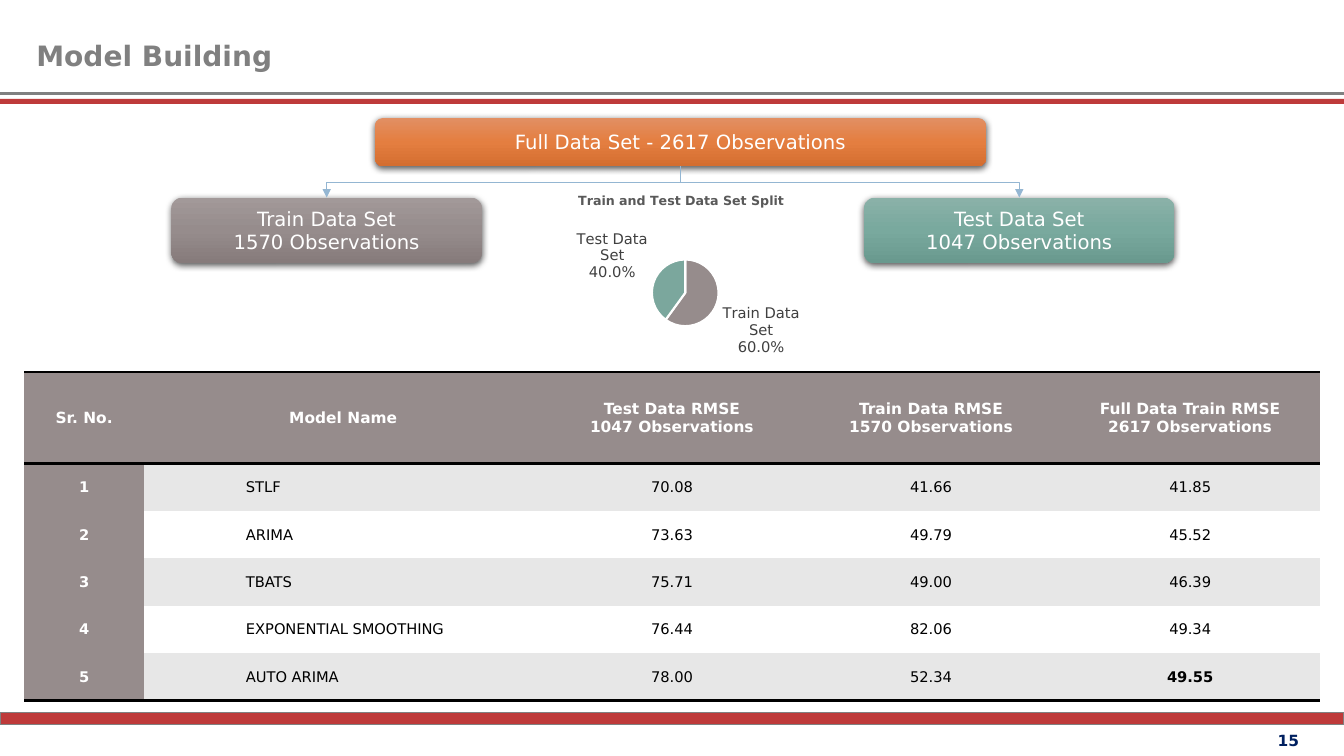
from lxml import etree
from pptx import Presentation
from pptx.chart.data import CategoryChartData
from pptx.dml.color import RGBColor
from pptx.enum.chart import XL_CHART_TYPE, XL_LABEL_POSITION
from pptx.enum.shapes import MSO_CONNECTOR, MSO_SHAPE
from pptx.enum.text import MSO_ANCHOR, PP_ALIGN
from pptx.oxml import parse_xml
from pptx.oxml.ns import qn
from pptx.util import Inches, Pt

LEFT, CENTER = PP_ALIGN.LEFT, PP_ALIGN.CENTER
TOP, MIDDLE = MSO_ANCHOR.TOP, MSO_ANCHOR.MIDDLE
RECT, ROUND = MSO_SHAPE.RECTANGLE, MSO_SHAPE.ROUNDED_RECTANGLE
STRAIGHT, ELBOW = MSO_CONNECTOR.STRAIGHT, MSO_CONNECTOR.ELBOW
PIE, OUTSIDE = XL_CHART_TYPE.PIE, XL_LABEL_POSITION.OUTSIDE_END

FONT = "DejaVu Sans"
GREY, RED, TAUPE, BAND, WHITE, BLACK = "808080", "B21515", "968C8C", "E7E7E7", "FFFFFF", "000000"
NS = 'xmlns:a="http://schemas.openxmlformats.org/drawingml/2006/main"'
NO_STYLE = "{2D5ABB26-0587-4C30-8999-92F81FD0307C}"

BOXES = [
    (("Full Data Set - 2617 Observations",), (3.72, 1.17, 6.06, 0.48), ("E28F63", "E47E40", "D46E30")),
    (("Train Data Set", "1570 Observations"), (1.7, 1.96, 3.08, 0.65), ("A29999", "968C8C", "867B7B")),
    (("Test Data Set", "1047 Observations"), (8.57, 1.96, 3.08, 0.65), ("8AB1A8", "79A99E", "69998E")),
]
SPLIT = "Train and Test Data Set Split"
PARTS = [("Train Data Set", 60, TAUPE), ("Test Data Set", 40, "7BA79D")]
HEAD = ["Sr. No.", "Model Name", "Test Data RMSE\n1047 Observations",
        "Train Data RMSE\n1570 Observations", "Full Data Train RMSE\n2617 Observations"]
MODELS = [
    ("STLF", "70.08", "41.66", "41.85"),
    ("ARIMA", "73.63", "49.79", "45.52"),
    ("TBATS", "75.71", "49.00", "46.39"),
    ("EXPONENTIAL SMOOTHING", "76.44", "82.06", "49.34"),
    ("AUTO ARIMA", "78.00", "52.34", "49.55"),
]
BEST = "49.55"
COLS = [1.19, 3.95, 2.57, 2.57, 2.57]
ROWS = [0.91] + [0.47] * len(MODELS)


def color(code):
    return RGBColor.from_string(code)


def style(font, size, code, bold=False):
    font.name, font.size, font.bold = FONT, Pt(size), bold
    font.color.rgb = color(code)


def text(frame, *lines, size=14, code=WHITE, bold=False, align=CENTER, anchor=MIDDLE, space=None):
    frame.word_wrap = True
    frame.vertical_anchor = anchor
    for i, line in enumerate(lines):
        para = frame.add_paragraph() if i else frame.paragraphs[0]
        para.text = line
        para.alignment = align
        para.line_spacing = space
        for run in para.runs:
            style(run.font, size, code, bold)


def inches(spot):
    return [Inches(v) for v in spot]


def bar(spot, edge=None):
    shape = shapes.add_shape(RECT, *inches(spot))
    shape.shadow.inherit = False
    shape.fill.solid()
    shape.fill.fore_color.rgb = color(RED)
    tint = shape.fill._xPr.find(".//" + qn("a:srgbClr"))
    etree.SubElement(tint, qn("a:alpha")).set("val", "84000")
    if edge:
        shape.line.color.rgb = color(edge)
        shape.line.width = Pt(1)
    else:
        shape.line.fill.background()


def box(lines, spot, tones):
    shape = shapes.add_shape(ROUND, *inches(spot))
    shape.shadow.inherit = False
    shape.line.fill.background()
    stops = "".join(f'<a:gs pos="{i * 50000}"><a:srgbClr val="{t}"/></a:gs>' for i, t in enumerate(tones))
    props = shape._element.spPr
    props.find(qn("a:prstGeom")).addnext(parse_xml(
        f'<a:gradFill {NS} rotWithShape="1"><a:gsLst>{stops}</a:gsLst><a:lin ang="5400000" scaled="0"/></a:gradFill>'))
    props.find(qn("a:effectLst")).append(parse_xml(
        f'<a:outerShdw {NS} blurRad="{Pt(4.5)}" dist="{Pt(1.5)}" dir="5400000" algn="ctr" rotWithShape="0">'
        f'<a:srgbClr val="{BLACK}"><a:alpha val="63000"/></a:srgbClr></a:outerShdw>'))
    text(shape.text_frame, *lines)
    return shape


def line(kind, ends, code, width):
    link = shapes.add_connector(kind, *ends)
    link.line.color.rgb = color(code)
    link.line.width = Pt(width)
    etree.SubElement(link._element.spPr, qn("a:effectLst"))
    return link


def branch(root, leaf):
    x, y = root.left + root.width // 2, root.top + root.height
    end = leaf.left + leaf.width // 2
    link = line(ELBOW, (x, y, end, leaf.top), "94B6D2", 0.5)
    link.begin_connect(root, 2)
    link.end_connect(leaf, 0)
    drop, span = leaf.top - y, abs(end - x)
    frame = link._element.spPr.find(qn("a:xfrm"))
    for key in ("flipH", "flipV"):
        frame.attrib.pop(key, None)
    link.left, link.top = (x + end - drop) // 2, (y + leaf.top - span) // 2
    link.width, link.height = drop, span
    frame.set("rot", "5400000" if end < x else "16200000")
    if end > x:
        frame.set("flipH", "1")
    etree.SubElement(link.line._get_or_add_ln(), qn("a:tailEnd")).set("type", "triangle")


def pie(spot):
    data = CategoryChartData()
    data.categories = [p[0] for p in PARTS]
    data.add_series(SPLIT, [p[1] for p in PARTS])
    chart = shapes.add_chart(PIE, *inches(spot), data).chart
    style(chart.font, 10, BLACK)
    chart.has_legend = False
    chart.has_title = True
    text(chart.chart_title.text_frame, SPLIT, size=9, code="595959", bold=True)
    plot = chart.plots[0]
    plot.vary_by_categories = True
    ring = plot.series[0]
    for i, part in enumerate(PARTS):
        form = ring.points[i].format
        form.fill.solid()
        form.fill.fore_color.rgb = color(part[2])
        form.line.color.rgb = color(WHITE)
        form.line.width = Pt(1.5)
    tags = ring.data_labels
    style(tags.font, 10.5, "404040")
    tags.show_value, tags.show_category_name, tags.show_percentage = False, True, True
    tags.number_format, tags.number_format_is_linked = "0.0%", False
    tags.position = OUTSIDE
    gap = etree.Element(qn("c:separator"))
    gap.text = "\n"
    tags._element.find(qn("c:showBubbleSize")).addnext(gap)
    area = chart._chartSpace.find(".//" + qn("c:plotArea"))
    for old in area.findall(qn("c:layout")):
        area.remove(old)
    layout = etree.Element(qn("c:layout"))
    area.insert(0, layout)
    manual = etree.SubElement(layout, qn("c:manualLayout"))
    for key, val in [("layoutTarget", "inner"), ("xMode", "edge"), ("yMode", "edge"),
                     ("x", "0.43"), ("y", "0.41"), ("w", "0.16"), ("h", "0.35")]:
        etree.SubElement(manual, qn("c:" + key)).set("val", val)


def rule(cell, *sides):
    props = cell._tc.get_or_add_tcPr()
    for i, side in enumerate(sides):
        props.insert(i, parse_xml(
            f'<a:{side} {NS} w="{Pt(2)}"><a:solidFill><a:srgbClr val="{BLACK}"/></a:solidFill></a:{side}>'))


def grid(left, top):
    table = shapes.add_table(len(ROWS), len(COLS), *inches((left, top, sum(COLS), sum(ROWS)))).table
    table.horz_banding = False
    table._tbl.tblPr.find(qn("a:tableStyleId")).text = NO_STYLE
    for col, width in zip(table.columns, COLS):
        col.width = Inches(width)
    for row, height in zip(table.rows, ROWS):
        row.height = Inches(height)
    rows = [HEAD] + [(str(i), *model) for i, model in enumerate(MODELS, 1)]
    for r, row in enumerate(rows):
        for c, word in enumerate(row):
            cell = table.cell(r, c)
            dark, name = r == 0 or c == 0, r > 0 and c == 1
            cell.margin_left = cell.margin_right = cell.margin_top = Inches(0.01)
            cell.margin_bottom = 0
            cell.vertical_anchor = MIDDLE
            text(cell.text_frame, word, size=10.5 if r else 11, code=WHITE if dark else BLACK,
                 bold=dark or word == BEST, align=LEFT if name else CENTER)
            if name:
                cell.text_frame.paragraphs[0]._p.get_or_add_pPr().set("marL", str(Inches(1)))
            cell.fill.solid()
            cell.fill.fore_color.rgb = color(TAUPE if dark else BAND if r % 2 else WHITE)
            if r == 0:
                rule(cell, "lnT", "lnB")
            elif r == len(MODELS):
                rule(cell, "lnB")


deck = Presentation()
deck.slide_width, deck.slide_height = Inches(13.33), Inches(7.5)
slide = deck.slides.add_slide(deck.slide_layouts[5])
shapes = slide.shapes

title = shapes.title
title.left, title.top, title.width, title.height = inches((0.26, 0.02, 10.9, 0.89))
text(title.text_frame, "Model Building", size=20, code=GREY, bold=True, align=LEFT, space=1.5)

bar((0, 7.07, 13.33, 0.12), GREY)
line(STRAIGHT, inches((0, 0.93, 13.33, 0.93)), GREY, 2.25)
bar((0, 0.98, 13.33, 0.05))
page = shapes.add_textbox(*inches((12.51, 7.2, 0.54, 0.3)))
text(page.text_frame, "15", size=11, code="002060", bold=True, anchor=TOP)

grid(0.24, 3.69)
full, *leaves = [box(*item) for item in BOXES]
for leaf in leaves:
    branch(full, leaf)
pie((4.66, 1.8, 4.19, 1.89))

deck.save("out.pptx")
